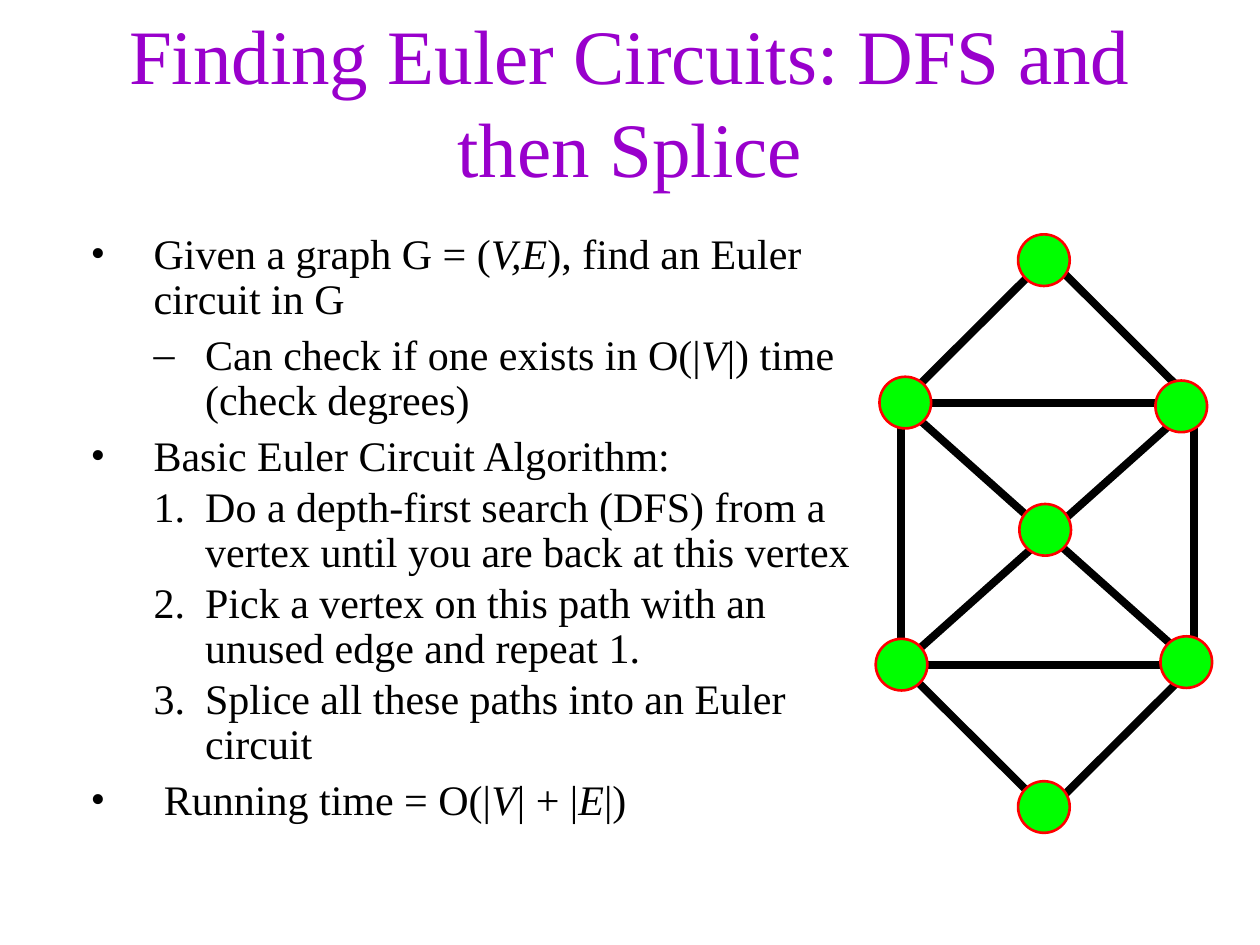
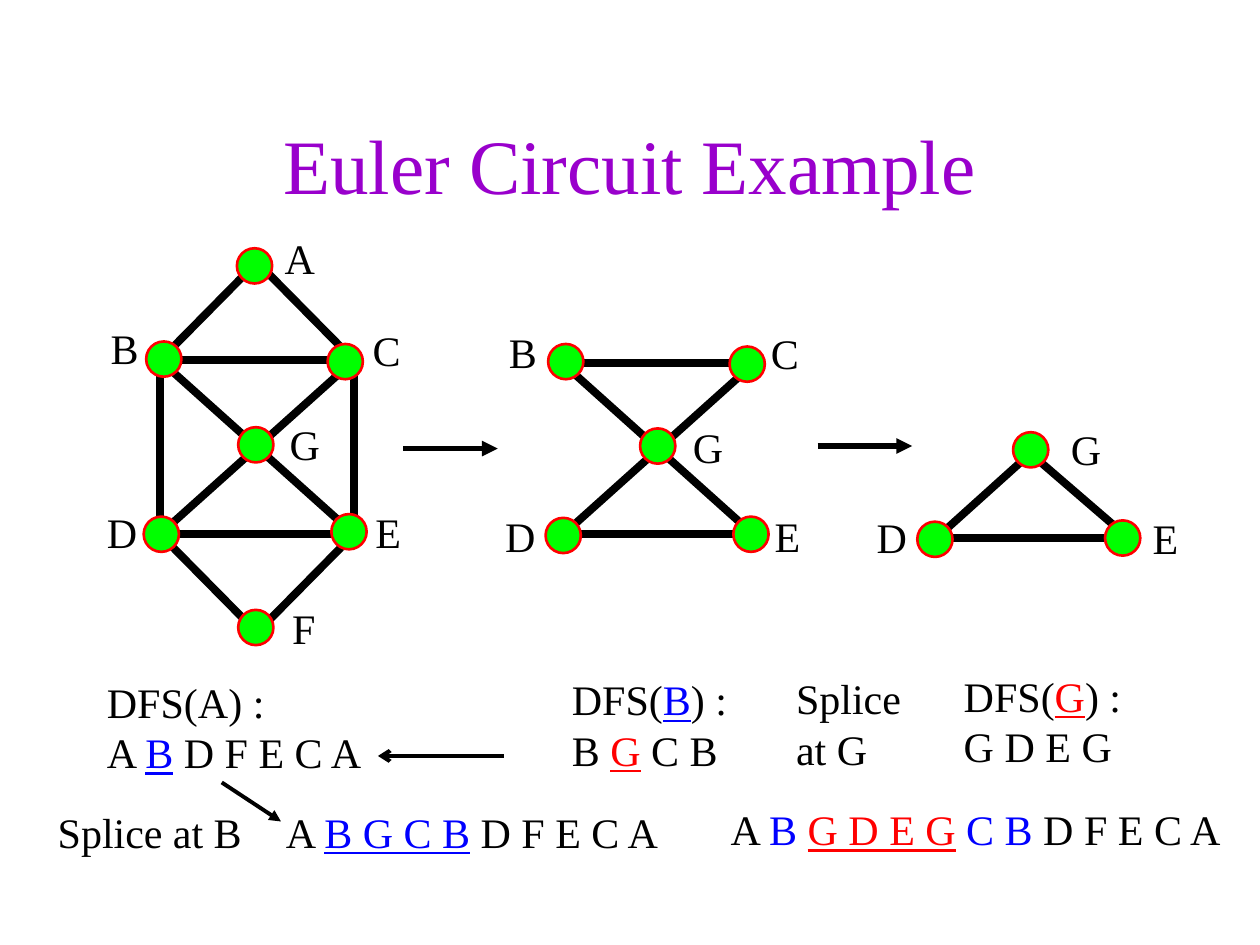
from dataclasses import dataclass
from typing import NamedTuple, Optional

from lxml import etree
from pptx import Presentation
from pptx.dml.color import RGBColor
from pptx.enum.shapes import MSO_CONNECTOR as Connector, MSO_SHAPE as Shape
from pptx.enum.text import MSO_ANCHOR as Anchor, PP_ALIGN as Align
from pptx.oxml.ns import qn
from pptx.util import Inches, Pt

FONT = "Times New Roman"
PURPLE, BLACK, BLUE, RED, GREEN = "9900CC", "000000", "0000FF", "FF0000", "00FF00"
BODY_SIZE, TITLE_SIZE = 24, 44
EDGE_WIDTH, STEP_WIDTH, SPLICE_WIDTH = 4.5, 3, 2.25
CURVE_STEPS = 16

Point = tuple[float, float]


class Run(NamedTuple):
    text: str
    color: str = BLACK
    italic: bool = False
    underline: bool = False


class ListStyle(NamedTuple):
    level: int
    margin: float
    hanging: float
    space_before: float
    bullet_tag: str
    bullet_attributes: dict[str, str]


class Paragraph(NamedTuple):
    runs: list[Run]
    list_style: Optional[ListStyle] = None


@dataclass
class Vertex:
    left: float
    top: float
    name: str = ""
    label_left: float = 0
    label_top: float = 0


@dataclass
class House:
    """A crossed rectangle with a triangle above and one below."""
    left: float
    top: float
    width: float
    height: float
    rise: float


class Note(NamedTuple):
    left: float
    top: float
    width: float
    height: float
    paragraphs: list[Paragraph]


BULLET = ListStyle(0, 0.5, 0.5, 6, "a:buChar", {"char": "•"})
DASH = ListStyle(1, 0.91, 0.41, 6, "a:buChar", {"char": "–"})
NUMBER = ListStyle(1, 0.91, 0.41, 3, "a:buAutoNum", {"type": "arabicPeriod"})


def rgb(color: str) -> RGBColor:
    return RGBColor.from_string(color)


def plain(text: str) -> Paragraph:
    return Paragraph([Run(text)])


def italic(text: str) -> Run:
    return Run(text, italic=True)


def marked(text: str, color: str) -> Run:
    return Run(text, color, underline=True)


def apply_list_style(paragraph, style: ListStyle) -> None:
    paragraph.level = style.level
    paragraph.line_spacing = 0.9
    paragraph.space_before = Pt(style.space_before)
    properties = paragraph._p.get_or_add_pPr()
    properties.set("marL", str(Inches(style.margin)))
    properties.set("indent", str(-Inches(style.hanging)))
    bullet_color = etree.SubElement(properties, qn("a:buClr"))
    etree.SubElement(bullet_color, qn("a:srgbClr"), val=BLACK)
    etree.SubElement(properties, qn("a:buFont"), typeface=FONT)
    etree.SubElement(properties, qn(style.bullet_tag), style.bullet_attributes)


def add_text(slide, left: float, top: float, width: float, height: float,
             paragraphs: list[Paragraph], *, size: float = BODY_SIZE, wrap: bool = True,
             align=Align.LEFT, anchor=Anchor.TOP) -> None:
    box = slide.shapes.add_textbox(Inches(left), Inches(top), Inches(width), Inches(height))
    frame = box.text_frame
    frame.word_wrap = wrap
    frame.vertical_anchor = anchor
    for index, content in enumerate(paragraphs):
        paragraph = frame.add_paragraph() if index else frame.paragraphs[0]
        paragraph.alignment = align
        if content.list_style:
            apply_list_style(paragraph, content.list_style)
        for part in content.runs:
            run = paragraph.add_run()
            run.text = part.text
            run.font.name = FONT
            run.font.size = Pt(size)
            run.font.color.rgb = rgb(part.color)
            run.font.italic = part.italic
            run.font.underline = part.underline


def add_title(slide, text: str, top: float) -> None:
    add_text(slide, 0.75, top, 8.5, 1.25, [Paragraph([Run(text, PURPLE)])],
             size=TITLE_SIZE, align=Align.CENTER, anchor=Anchor.MIDDLE)


def set_line(shape, color: str, width: float, arrowhead: str = "") -> None:
    shape.line.color.rgb = rgb(color)
    shape.line.width = Pt(width)
    if arrowhead:
        etree.SubElement(shape.line._get_or_add_ln(), qn("a:tailEnd"), type=arrowhead)


def add_line(slide, start: Point, end: Point, width: float = EDGE_WIDTH,
             arrowhead: str = "") -> None:
    line = slide.shapes.add_connector(
        Connector.STRAIGHT, *(Inches(value) for value in (*start, *end)))
    set_line(line, BLACK, width, arrowhead)
    etree.SubElement(line._element.spPr, qn("a:effectLst"))


def add_preset(slide, kind, left: float, top: float, width: float, height: float,
               fill: str, line_color: str, line_width: float) -> None:
    shape = slide.shapes.add_shape(
        kind, Inches(left), Inches(top), Inches(width), Inches(height))
    shape.shadow.inherit = False
    if fill:
        shape.fill.solid()
        shape.fill.fore_color.rgb = rgb(fill)
    else:
        shape.fill.background()
    set_line(shape, line_color, line_width)


def add_house_edges(slide, house: House) -> None:
    right, bottom = house.left + house.width, house.top + house.height
    middle = house.left + house.width / 2
    add_preset(slide, Shape.RECTANGLE, house.left, house.top, house.width, house.height,
               "", BLACK, EDGE_WIDTH)
    add_line(slide, (house.left, house.top), (right, bottom))
    add_line(slide, (house.left, bottom), (right, house.top))
    for side in (house.left, right):
        add_line(slide, (side, house.top), (middle, house.top - house.rise))
        add_line(slide, (side, bottom), (middle, bottom + house.rise))


def add_vertices(slide, vertices: list[Vertex], diameter: float) -> None:
    for vertex in vertices:
        add_preset(slide, Shape.OVAL, vertex.left, vertex.top, diameter, diameter,
                   GREEN, RED, 1.5)
        if vertex.name:
            add_text(slide, vertex.label_left, vertex.label_top, 0.42, 0.5,
                     [plain(vertex.name)])


def bezier_points(start: Point, first: Point, second: Point, end: Point) -> list[Point]:
    """Points along a cubic curve, without its start."""
    points = []
    for step in range(1, CURVE_STEPS + 1):
        t = step / CURVE_STEPS
        weights = ((1 - t) ** 3, 3 * t * (1 - t) ** 2, 3 * t * t * (1 - t), t ** 3)
        x, y = (sum(weight * value for weight, value in zip(weights, values))
                for values in zip(start, first, second, end))
        points.append((x, y))
    return points


def add_curved_arrow(slide, knots: list[Point]) -> None:
    """Draws joined cubic curves: a start, then three points for each curve."""
    points = [point for index in range(0, len(knots) - 1, 3)
              for point in bezier_points(*knots[index:index + 4])]
    builder = slide.shapes.build_freeform(*knots[0], scale=Inches(1))
    builder.add_line_segments(points, close=False)
    curve = builder.convert_to_shape()
    curve.shadow.inherit = False
    curve.fill.background()
    set_line(curve, BLACK, SPLICE_WIDTH, "arrow")


ALGORITHM = [
    Paragraph([Run("Given a graph G = ("), italic("V,E"),
               Run("), find an Euler circuit in G")], BULLET),
    Paragraph([Run("Can check if one exists in O(|"), italic("V"),
               Run("|) time (check degrees)")], DASH),
    Paragraph([Run("Basic Euler Circuit Algorithm:")], BULLET),
    *(Paragraph([Run(step)], NUMBER) for step in (
        "Do a depth-first search (DFS) from a vertex until you are back at this vertex",
        "Pick a vertex on this path with an unused edge and repeat 1.",
        "Splice all these paths into an Euler circuit")),
    Paragraph([Run(" Running time = O(|"), italic("V"), Run("| + |"), italic("E"),
               Run("|)")], BULLET),
]

PLAIN_VERTICES = [Vertex(8.08, 1.86), Vertex(6.98, 2.99), Vertex(9.17, 3.02),
                  Vertex(8.09, 4), Vertex(6.95, 5.07), Vertex(9.21, 5.05),
                  Vertex(8.08, 6.2)]

FULL_GRAPH = [
    Vertex(1.88, 1.97, "A", 2.16, 1.8),
    Vertex(1.16, 2.71, "B", 0.78, 2.51),
    Vertex(2.6, 2.73, "C", 2.86, 2.53),
    Vertex(1.14, 4.1, "D", 0.75, 3.97),
    Vertex(2.63, 4.08, "E", 2.88, 3.97),
    Vertex(1.89, 4.84, "F", 2.22, 4.73),
    Vertex(1.89, 3.39, "G", 2.2, 3.27),
]
AFTER_FIRST_DFS = [
    Vertex(4.35, 2.73, "B", 3.94, 2.54),
    Vertex(5.79, 2.75, "C", 6.02, 2.55),
    Vertex(4.33, 4.11, "D", 3.91, 4),
    Vertex(5.82, 4.1, "E", 6.05, 4),
    Vertex(5.08, 3.4, "G", 5.4, 3.3),
]
AFTER_SECOND_DFS = [
    Vertex(7.28, 4.14, "D", 6.86, 4.01),
    Vertex(8.77, 4.13, "E", 9.05, 4.02),
    Vertex(8.04, 3.43, "G", 8.4, 3.31),
]
REMAINING_EDGES = [
    ((4.48, 2.88), (5.94, 2.88)), ((4.48, 4.24), (5.94, 4.24)),
    ((4.45, 2.87), (6, 4.26)), ((4.45, 4.26), (6, 2.87)),
    ((7.44, 4.27), (8.97, 4.27)), ((7.41, 4.29), (8.21, 3.57)),
    ((8.18, 3.6), (8.98, 4.29)),
]
NOTES = [
    Note(0.75, 5.32, 2.25, 0.9, [
        plain("DFS(A) :"),
        Paragraph([Run("A "), marked("B", BLUE), Run(" D F E C A")])]),
    Note(4.44, 5.3, 1.43, 0.9, [
        Paragraph([Run("DFS("), marked("B", BLUE), Run(") :")]),
        Paragraph([Run("B "), marked("G", RED), Run(" C B")])]),
    Note(7.55, 5.27, 1.45, 0.9, [
        Paragraph([Run("DFS("), marked("G", RED), Run(") :")]),
        plain("G D E G")]),
    Note(0.36, 6.35, 1.66, 0.5, [plain("Splice at B")]),
    Note(2.17, 6.35, 3.19, 0.5, [
        Paragraph([Run("A "), marked("B G C B", BLUE), Run(" D F E C A")])]),
    Note(6.22, 5.29, 1.11, 0.9, [plain("Splice"), plain("at G")]),
    Note(5.7, 6.33, 4.12, 0.5, [
        Paragraph([Run("A "), Run("B ", BLUE), marked("G D E G", RED), Run(" "),
                   Run("C B", BLUE), Run(" D F E C A")])]),
]
SPLICE_CURVES = [
    [(4.41, 5.94), (4.15, 5.91), (3.89, 5.88), (3.7, 5.94),
     (3.52, 6.01), (3.37, 6.27), (3.3, 6.34)],
    [(7.47, 5.94), (7.37, 5.9), (7.27, 5.87), (7.19, 5.93),
     (7.1, 5.99), (6.98, 6.26), (6.94, 6.33)],
]


def build_algorithm_slide(slide) -> None:
    add_title(slide, "Finding Euler Circuits: DFS and then Splice", 0.17)
    add_text(slide, 0.62, 1.8, 6.35, 5.02, ALGORITHM)
    add_house_edges(slide, House(7.15, 3.2, 2.33, 2.08, 1.16))
    add_vertices(slide, PLAIN_VERTICES, 0.41)


def build_example_slide(slide) -> None:
    add_title(slide, "Euler Circuit Example", 0.67)
    add_house_edges(slide, House(1.27, 2.86, 1.54, 1.38, 0.78))
    for start, end in REMAINING_EDGES:
        add_line(slide, start, end)
    add_vertices(slide, FULL_GRAPH + AFTER_FIRST_DFS + AFTER_SECOND_DFS, 0.28)
    for left, y in ((3.2, 3.56), (6.49, 3.54)):
        add_line(slide, (left, y), (left + 0.75, y), STEP_WIDTH, "triangle")
    for note in NOTES:
        add_text(slide, *note, wrap=False)
    add_line(slide, (1.76, 6.21), (2.23, 6.52), SPLICE_WIDTH, "triangle")
    for knots in SPLICE_CURVES:
        add_curved_arrow(slide, knots)


def main() -> None:
    presentation = Presentation()
    presentation.slide_width, presentation.slide_height = Inches(10), Inches(7.5)
    blank_layout = presentation.slide_layouts[6]
    for build in (build_algorithm_slide, build_example_slide):
        build(presentation.slides.add_slide(blank_layout))
    presentation.save("out.pptx")


if __name__ == "__main__":
    main()
